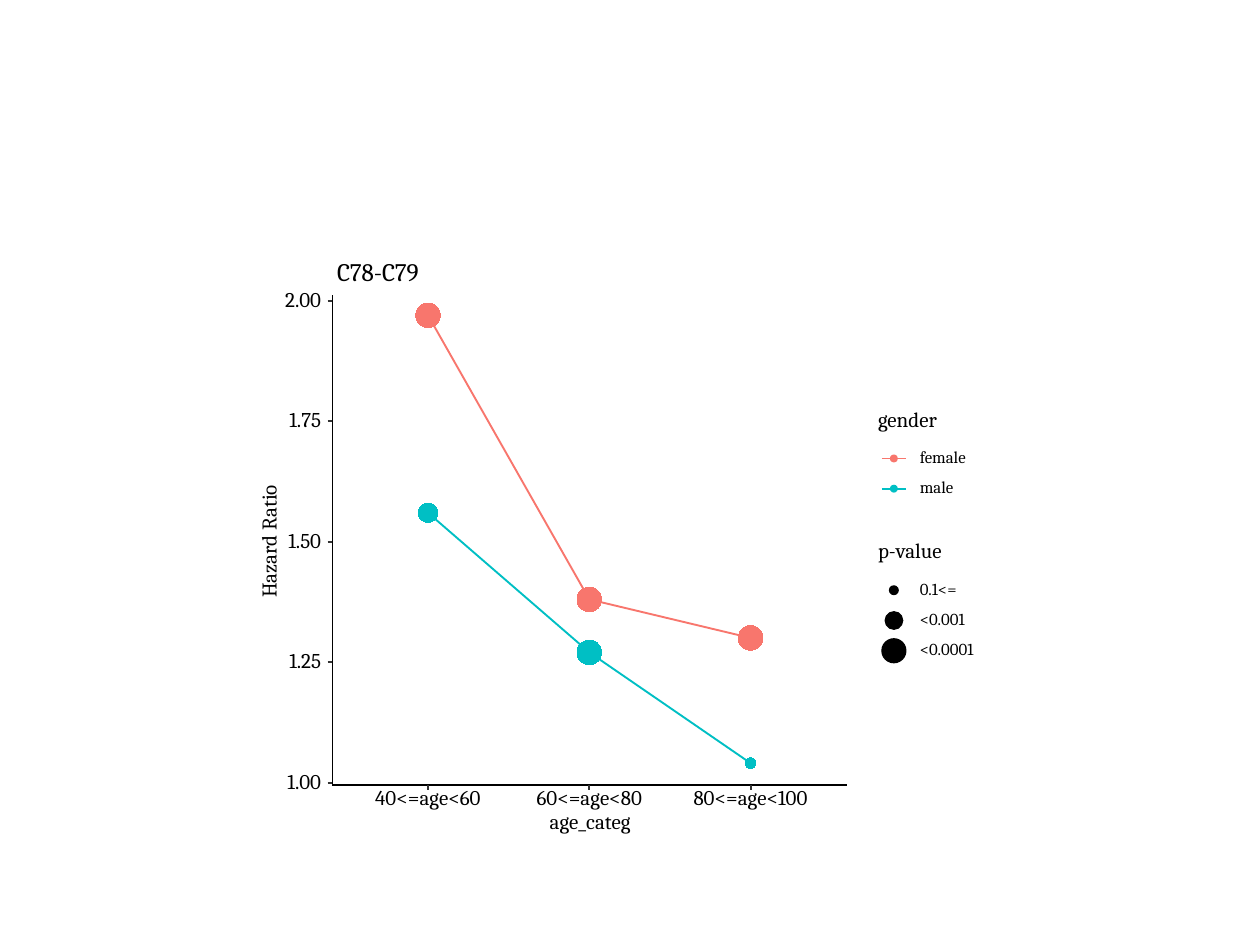
from dataclasses import dataclass

from lxml import etree
from pptx import Presentation
from pptx.chart.data import CategoryChartData
from pptx.dml.color import RGBColor
from pptx.enum.chart import XL_CHART_TYPE, XL_MARKER_STYLE, XL_TICK_MARK
from pptx.enum.shapes import MSO_CONNECTOR, MSO_SHAPE
from pptx.enum.text import MSO_ANCHOR
from pptx.oxml import parse_xml
from pptx.oxml.ns import nsdecls, qn
from pptx.util import Pt

LINE_CHART = XL_CHART_TYPE.LINE_MARKERS
CIRCLE_MARKER = XL_MARKER_STYLE.CIRCLE
TICK_OUTSIDE = XL_TICK_MARK.OUTSIDE
TICK_NONE = XL_TICK_MARK.NONE
STRAIGHT = MSO_CONNECTOR.STRAIGHT
OVAL = MSO_SHAPE.OVAL
MIDDLE = MSO_ANCHOR.MIDDLE

FONT = "Cambria"
BLACK = "000000"
TICK_COLOR = "333333"
LINE_WIDTH = 1.07
TICK_WIDTH = 1.16
TICK_LENGTH = 2.75
CHART_LEFT, CHART_TOP, CHART_WIDTH, CHART_HEIGHT = 144, 144, 425.5, 340
PLOT_LEFT, PLOT_TOP, PLOT_WIDTH, PLOT_HEIGHT = 198.5, 169.2, 276.5, 278
LOWEST, HIGHEST, RATIO_STEP = 1, 2.01, 0.25
AXIS_LEFT, AXIS_RIGHT, AXIS_TOP, AXIS_BOTTOM = 190, 484.2, 168.5, 448.5
KEY_CENTER = 510.8
KEY_WIDTH = 13.8
LABEL_LEFT = 525.6
ROW_STEP = 17.28


@dataclass
class Trend:
    name: str
    color: str
    ratios: tuple
    marker_sizes: tuple


@dataclass
class LegendEntry:
    label: str
    color: str
    diameter: float
    has_line: bool = False


@dataclass
class Legend:
    title: str
    title_center: float
    first_row: float
    entries: list


CATEGORIES = ("40<=age<60", "60<=age<80", "80<=age<100")
TRENDS = (
    Trend("female", "F8766D", (1.97, 1.38, 1.30), (14, 14, 14)),
    Trend("male", "00BFC4", (1.56, 1.27, 1.04), (11, 14, 6)),
)
LEGENDS = (
    Legend("gender", 240.8, 262,
           [LegendEntry(trend.name, trend.color, 3.8, True) for trend in TRENDS]),
    Legend("p-value", 315.7, 337.3, [
        LegendEntry("0.1<=", BLACK, 5),
        LegendEntry("<0.001", BLACK, 10),
        LegendEntry("<0.0001", BLACK, 13.7),
    ]),
)


def rgb(color: str) -> RGBColor:
    return RGBColor.from_string(color)


def format_font(font, size: float, color: str = BLACK) -> None:
    font.name = FONT
    font.size = Pt(size)
    font.bold = False
    font.color.rgb = rgb(color)


def format_line(line, color: str, width: float) -> None:
    line.color.rgb = rgb(color)
    line.width = Pt(width)


def set_layout(element, left: float, top: float, width: float = 0, height: float = 0) -> None:
    layout = element.find(qn("c:layout"))
    if layout is None:
        layout = parse_xml(f"<c:layout {nsdecls('c')}/>")
        element.insert(0, layout)
    manual = etree.SubElement(layout, qn("c:manualLayout"))
    settings = [("xMode", "edge"), ("yMode", "edge"),
                ("x", (left - CHART_LEFT) / CHART_WIDTH),
                ("y", (top - CHART_TOP) / CHART_HEIGHT)]
    if width:
        settings.insert(0, ("layoutTarget", "inner"))
        settings += [("w", width / CHART_WIDTH), ("h", height / CHART_HEIGHT)]
    for name, value in settings:
        etree.SubElement(manual, qn(f"c:{name}")).set("val", str(value))


def set_title(title, text: str, size: float, left: float, top: float) -> None:
    span = title.text_frame.paragraphs[0].add_run()
    span.text = text
    format_font(span.font, size)
    set_layout(title._element, left, top)


def format_axis(axis, tick_mark) -> None:
    axis.has_major_gridlines = False
    axis.major_tick_mark = tick_mark
    axis.minor_tick_mark = TICK_NONE
    axis.format.line.fill.background()
    format_font(axis.tick_labels.font, 12)


def fill_marker(marker, size: int, color: str) -> None:
    marker.style = CIRCLE_MARKER
    marker.size = size
    marker.format.fill.solid()
    marker.format.fill.fore_color.rgb = rgb(color)
    format_line(marker.format.line, color, 0.71)


def draw_chart(page) -> None:
    data = CategoryChartData(number_format="0.00")
    data.categories = CATEGORIES
    for trend in TRENDS:
        data.add_series(trend.name, trend.ratios)
    chart = page.shapes.add_chart(
        LINE_CHART, Pt(CHART_LEFT), Pt(CHART_TOP), Pt(CHART_WIDTH), Pt(CHART_HEIGHT), data).chart
    chart.has_legend = False
    format_font(chart.font, 12)
    set_title(chart.chart_title, "C78-C79", 14.4, 190, 142)

    ages, ratios = chart.category_axis, chart.value_axis
    format_axis(ages, TICK_NONE)
    format_axis(ratios, TICK_OUTSIDE)
    ratios.minimum_scale, ratios.maximum_scale, ratios.major_unit = LOWEST, HIGHEST, RATIO_STEP
    ratios.tick_labels.number_format = "0.00_W"
    ratios.tick_labels.number_format_is_linked = False
    set_title(ages.axis_title, "age_categ", 12, 312, 460)
    set_title(ratios.axis_title, "Hazard Ratio", 12, 143, 275)

    plot = chart.plots[0]
    plot.vary_by_categories = False
    for series, trend in zip(plot.series, TRENDS):
        series.smooth = False
        format_line(series.format.line, trend.color, LINE_WIDTH)
        fill_marker(series.marker, max(trend.marker_sizes), trend.color)
        for index, size in enumerate(trend.marker_sizes):
            point = series.points[index]
            fill_marker(point.marker, size, trend.color)
            format_line(point.format.line, trend.color, LINE_WIDTH)
    set_layout(chart._chartSpace.find(".//" + qn("c:plotArea")),
               PLOT_LEFT, PLOT_TOP, PLOT_WIDTH, PLOT_HEIGHT)


def draw_line(page, start: tuple, end: tuple, color: str, width: float = LINE_WIDTH) -> None:
    line = page.shapes.add_connector(STRAIGHT, *map(Pt, start + end))
    format_line(line.line, color, width)
    etree.SubElement(line._element.spPr, qn("a:effectLst"))


def draw_axes(page) -> None:
    corner = (AXIS_LEFT, AXIS_BOTTOM)
    draw_line(page, corner, (AXIS_LEFT, AXIS_TOP), BLACK)
    draw_line(page, corner, (AXIS_RIGHT, AXIS_BOTTOM), BLACK)
    ratio_gap = PLOT_HEIGHT * RATIO_STEP / (HIGHEST - LOWEST)
    for index in range(5):
        y = PLOT_TOP + PLOT_HEIGHT - index * ratio_gap
        draw_line(page, (AXIS_LEFT - TICK_LENGTH, y), (AXIS_LEFT, y), TICK_COLOR, TICK_WIDTH)
    for index in range(len(CATEGORIES)):
        x = PLOT_LEFT + PLOT_WIDTH * (index + 0.5) / len(CATEGORIES)
        draw_line(page, (x, AXIS_BOTTOM + TICK_LENGTH), (x, AXIS_BOTTOM), TICK_COLOR, TICK_WIDTH)


def add_label(page, text: str, *, left: float, center: float, size: float) -> None:
    box = page.shapes.add_textbox(Pt(left), Pt(center - size / 2), Pt(66), Pt(size))
    frame = box.text_frame
    frame.word_wrap = True
    frame.vertical_anchor = MIDDLE
    frame.margin_left = frame.margin_right = frame.margin_top = frame.margin_bottom = 0
    para = frame.paragraphs[0]
    para.line_spacing = Pt(size)
    span = para.add_run()
    span.text = text
    format_font(span.font, size)


def draw_key(page, entry: LegendEntry, center: float) -> None:
    if entry.has_line:
        reach = KEY_WIDTH / 2
        draw_line(page, (KEY_CENTER - reach, center), (KEY_CENTER + reach, center), entry.color)
    radius = entry.diameter / 2
    dot = page.shapes.add_shape(OVAL, Pt(KEY_CENTER - radius), Pt(center - radius),
                                Pt(entry.diameter), Pt(entry.diameter))
    dot.shadow.inherit = False
    dot.fill.solid()
    dot.fill.fore_color.rgb = rgb(entry.color)
    format_line(dot.line, entry.color, 0.71)


def draw_legend(page, legend: Legend) -> None:
    add_label(page, legend.title, left=501.8, center=legend.title_center, size=12)
    for row, entry in enumerate(legend.entries):
        center = legend.first_row + row * ROW_STEP
        draw_key(page, entry, center)
        add_label(page, entry.label, left=LABEL_LEFT, center=center, size=9.6)


deck = Presentation()
deck.slide_width, deck.slide_height = Pt(720), Pt(540)
page = deck.slides.add_slide(deck.slide_layouts[6])
draw_chart(page)
draw_axes(page)
for legend in LEGENDS:
    draw_legend(page, legend)
deck.save("out.pptx")
